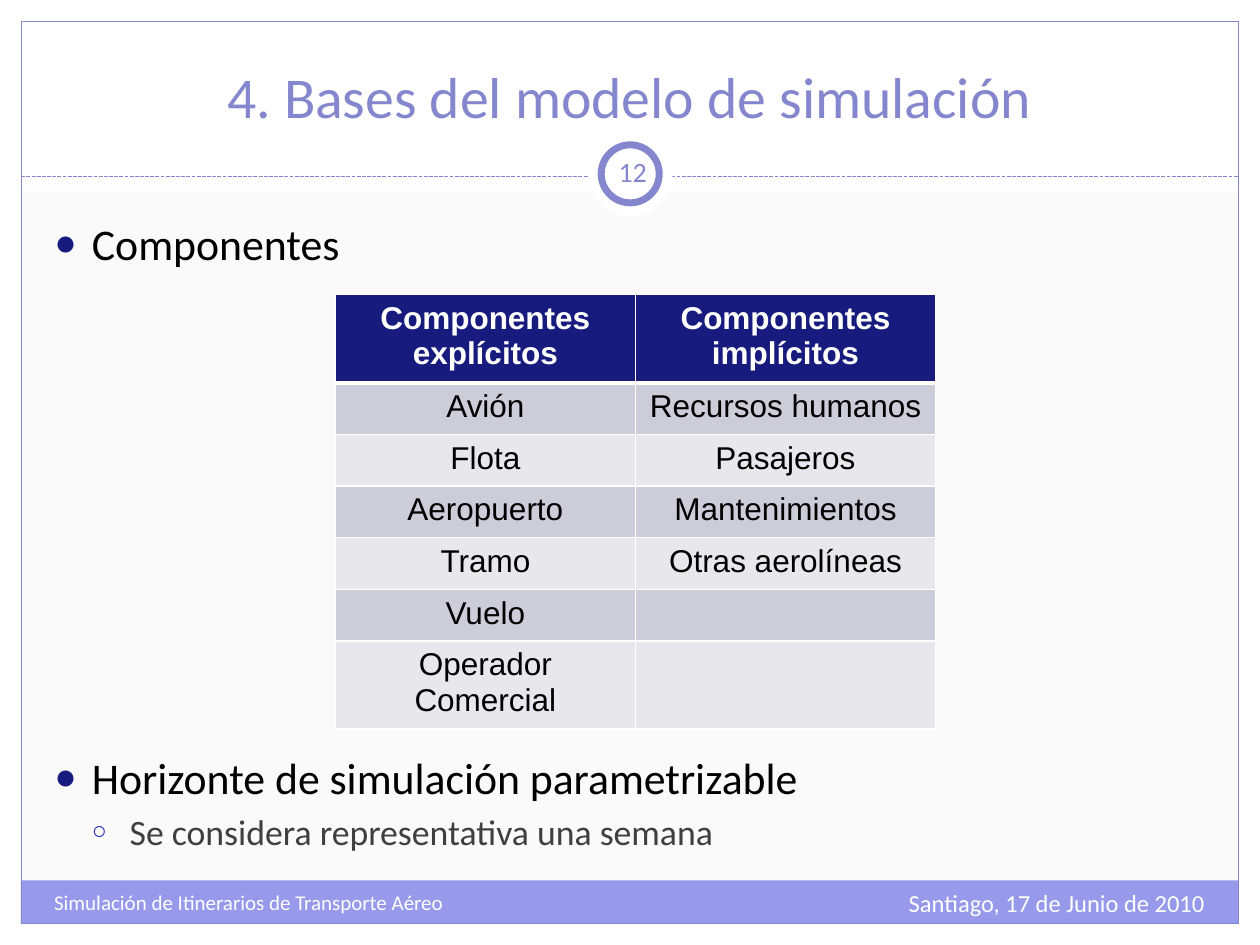
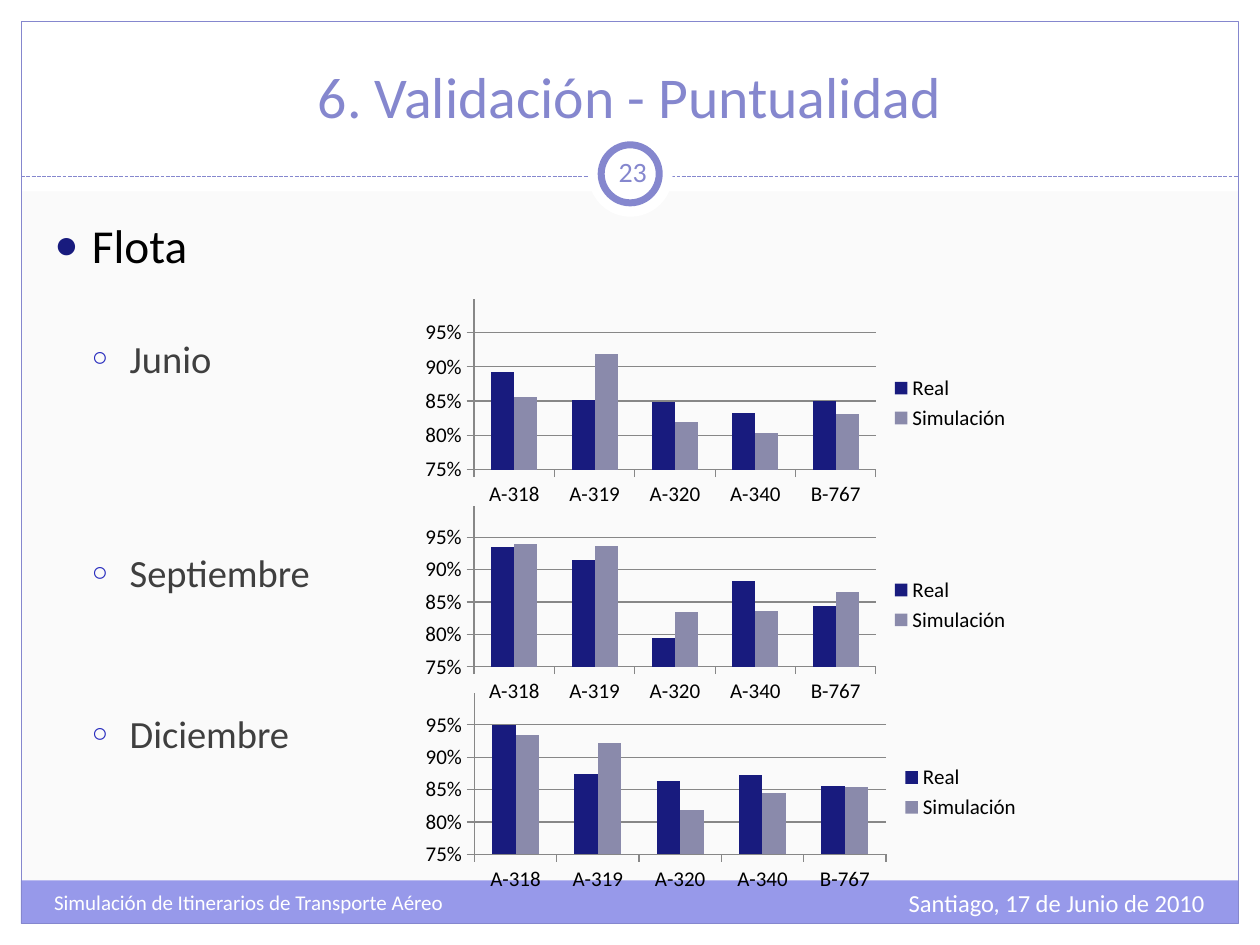
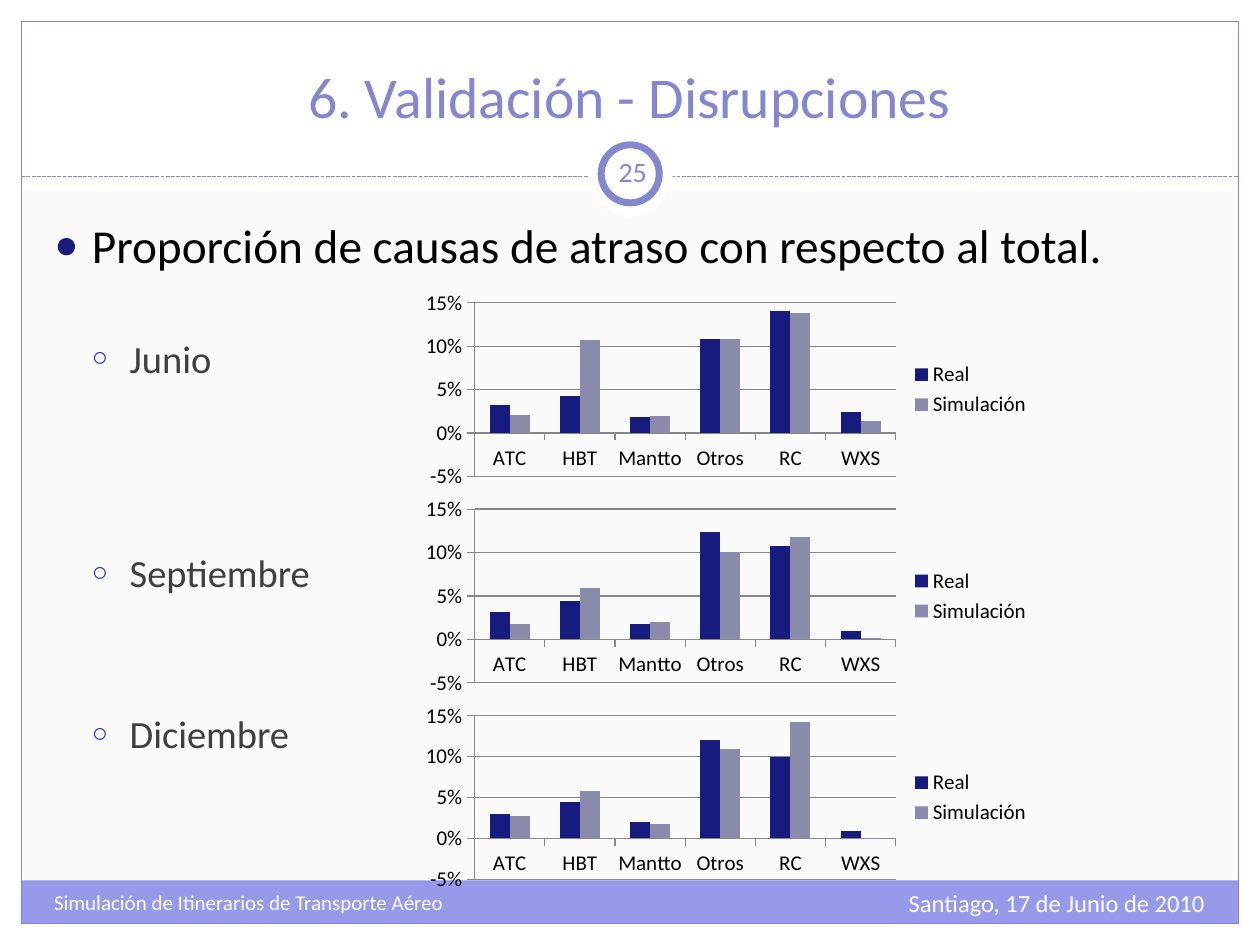
from pptx import Presentation
from pptx.chart.data import CategoryChartData
from pptx.dml.color import RGBColor
from pptx.enum.chart import XL_CHART_TYPE, XL_LEGEND_POSITION, XL_TICK_MARK
from pptx.enum.dml import MSO_LINE
from pptx.enum.shapes import MSO_CONNECTOR, MSO_SHAPE
from pptx.enum.text import MSO_ANCHOR, MSO_AUTO_SIZE, PP_ALIGN
from pptx.oxml import parse_xml
from pptx.oxml.ns import nsdecls
from pptx.oxml.xmlchemy import OxmlElement
from pptx.util import Cm, Pt

HUES = {
    "white": "FFFFFF", "black": "000000", "paper": "FAFAFA", "lilac": "8587CE",
    "foot": "9799EA", "navy": "181B7E", "blue": "2529BD", "text": "3F3F3F",
    "odd": "CCCDD8", "even": "E8E8EC", "sim": "8A8AAB", "axis": "878787",
}
RGB = {name: RGBColor.from_string(code) for name, code in HUES.items()}


def put(item, **vals):
    """Set each format value on the item."""
    for key, val in vals.items():
        setattr(item, key, val)


def write(para, text, size, hue, face="Calibri", align=PP_ALIGN.LEFT, bold=False):
    """Fill a paragraph with one formatted run."""
    run = para.add_run()
    run.text = text
    para.alignment = align
    put(run.font, name=face, size=Pt(size), bold=bold)
    run.font.color.rgb = RGB[hue]


prs = Presentation()
put(prs, slide_width=Cm(25.4), slide_height=Cm(19.05))
back = prs.slide_master.background.fill
back.solid()
back.fore_color.rgb = RGB["paper"]
plan = prs.slide_layouts[1]

heads = [
    ("4. Bases del modelo de simulación", "12"),
    ("6. Validación - Puntualidad", "23"),
    ("6. Validación - Disrupciones", "25"),
]
slides = [prs.slides.add_slide(plan) for _ in heads]

# Shared frame: drawn once, then moved to the layout
RECT, OVAL = MSO_SHAPE.RECTANGLE, MSO_SHAPE.OVAL
bands = [
    (RECT, (0, 18.62, 25.4, 0.43), "white", None),
    (RECT, (0, 0, 25.4, 3.86), "white", None),
    (RECT, (0, 0, 0.43, 19.05), "white", None),
    (RECT, (24.97, 0, 0.43, 19.05), "white", None),
    (RECT, (0.42, 17.75, 24.54, 0.87), "foot", None),
    (RECT, (0.43, 0.43, 24.54, 18.19), None, 0.75),
    ("rule", (0.43, 3.56, 24.97, 3.56), None, 0.75),
    (OVAL, (11.86, 2.67, 1.7, 1.7), "white", None),
    (OVAL, (12.12, 2.92, 1.17, 1.17), "white", 4),
]
for num, (kind, box, fill, width) in enumerate(bands, 20):
    box = [Cm(v) for v in box]
    if kind == "rule":
        part = slides[0].shapes.add_connector(MSO_CONNECTOR.STRAIGHT, *box)
        part.line.dash_style = MSO_LINE.SQUARE_DOT
    else:
        part = slides[0].shapes.add_shape(kind, *box)
        part.shadow.inherit = False
        if fill:
            part.fill.solid()
            part.fill.fore_color.rgb = RGB[fill]
        else:
            part.fill.background()
    if width:
        part.line.color.rgb = RGB["lilac"]
        part.line.width = Pt(width)
    else:
        part.line.fill.background()
    if kind == "rule":
        part._element.spPr.append(OxmlElement("a:effectLst"))
    part._element.xpath(".//p:cNvPr")[0].set("id", str(num))
    plan.shapes._spTree.append(part._element)

# Titles, footers and page numbers
for slide, (head, page) in zip(slides, heads):
    title = slide.shapes.title
    put(title, left=Cm(0.84), top=Cm(0.64), width=Cm(23.7), height=Cm(2.11))
    put(title.text_frame, vertical_anchor=MSO_ANCHOR.BOTTOM, auto_size=MSO_AUTO_SIZE.NONE)
    write(title.text_frame.paragraphs[0], head, 33, "lilac", align=PP_ALIGN.CENTER)
    notes = [
        ("Santiago, 17 de Junio de 2010", (16.08, 17.78, 8.46, 1.02), 14, "white", PP_ALIGN.RIGHT),
        ("Simulación de Itinerarios de Transporte Aéreo", (0.84, 17.81, 9.96, 1.02), 12,
         "white", PP_ALIGN.LEFT),
        (page, (12.12, 2.84, 1.27, 1.22), 16, "lilac", PP_ALIGN.CENTER),
    ]
    for text, box, size, hue, align in notes:
        frame = slide.shapes.add_textbox(*[Cm(v) for v in box]).text_frame
        frame.word_wrap = True
        if text == page:
            put(frame, vertical_anchor=MSO_ANCHOR.MIDDLE, margin_left=Cm(0.13),
                margin_right=Cm(0.13), margin_top=Cm(0.13), margin_bottom=Cm(0.13))
        write(frame.paragraphs[0], text, size, hue, align=align)

# Lists: level, text, size, space before
months = [(1, "Junio", 22, 35), (1, "Septiembre", 22, 96), (1, "Diciembre", 22, 65.5)]
lists = [
    (13.41, [(0, "Componentes", 25, 5),
             (0, "Horizonte de simulación parametrizable", 25, 275),
             (1, "Se considera representativa una semana", 20.4, 4)]),
    (12.7, [(0, "Flota", 27, 5)] + months),
    (12.7, [(0, "Proporción de causas de atraso con respecto al total.", 27, 5)] + months),
]
looks = [("black", "navy", 85, "●"), ("text", "blue", 70, "○")]
for slide, (high, items) in zip(slides, lists):
    body = slide.placeholders[1]
    put(body, left=Cm(0.84), top=Cm(4.24), width=Cm(23.62), height=Cm(high))
    frame = body.text_frame
    frame.auto_size = MSO_AUTO_SIZE.NONE
    for num, (level, text, size, gap) in enumerate(items):
        para = frame.add_paragraph() if num else frame.paragraphs[0]
        hue, dot, scale, char = looks[level]
        write(para, text, size, hue)
        put(para, level=level, space_before=Pt(gap))
        props = para._p.get_or_add_pPr()
        props.set("marL", str(Cm(0.76) * (level + 1)))
        props.set("indent", str(-Cm(0.76)))
        for xml in (f'<a:buClr {nsdecls("a")}><a:srgbClr val="{HUES[dot]}"/></a:buClr>',
                    f'<a:buSzPct {nsdecls("a")} val="{scale * 1000}"/>',
                    f'<a:buChar {nsdecls("a")} char="{char}"/>'):
            props.append(parse_xml(xml))

# Table of components
rows = [
    ("Componentes explícitos", "Componentes implícitos"),
    ("Avión", "Recursos humanos"),
    ("Flota", "Pasajeros"),
    ("Aeropuerto", "Mantenimientos"),
    ("Tramo", "Otras aerolíneas"),
    ("Vuelo", ""),
    ("Operador Comercial", ""),
]
grid = slides[0].shapes.add_table(
    len(rows), 2, Cm(6.76), Cm(5.94), Cm(12.1), Cm(1.04) * len(rows)).table
for col in grid.columns:
    col.width = Cm(6.05)
for r, row in enumerate(rows):
    grid.rows[r].height = Cm(1.04)
    for c, text in enumerate(row):
        cell = grid.cell(r, c)
        if text:
            write(cell.text_frame.paragraphs[0], text, 18, "black" if r else "white",
                  "Arial", PP_ALIGN.CENTER, r == 0)
        props = cell._tc.get_or_add_tcPr()
        for side in "LRTB":
            thick = 3 if (r, side) in ((0, "B"), (1, "T")) else 1
            props.append(parse_xml(
                f'<a:ln{side} {nsdecls("a")} w="{Pt(thick)}"><a:solidFill>'
                f'<a:srgbClr val="{HUES["white"]}"/></a:solidFill></a:ln{side}>'))
        cell.fill.solid()
        cell.fill.fore_color.rgb = RGB["navy" if r == 0 else "odd" if r % 2 else "even"]

# Charts by month: top, width, height, real values, simulated values
planes = ["A-318", "A-319", "A-320", "A-340", "B-767"]
causes = ["ATC", "HBT", "Mantto", "Otros", "RC", "WXS"]
groups = [
    (slides[1], planes, 0.75, 0.999, [
        (5.94, 12.29, 4.37, (0.893, 0.852, 0.849, 0.832, 0.85),
         (0.856, 0.918, 0.82, 0.803, 0.831)),
        (10.11, 12.29, 4.17, (0.935, 0.915, 0.794, 0.882, 0.844),
         (0.939, 0.936, 0.835, 0.836, 0.865)),
        (13.89, 12.5, 4.17, (0.949, 0.874, 0.863, 0.873, 0.856),
         (0.935, 0.922, 0.818, 0.845, 0.854)),
    ]),
    (slides[2], causes, -0.05, 0.15, [
        (5.77, 12.7, 4.17, (0.032, 0.043, 0.018, 0.108, 0.14, 0.024),
         (0.021, 0.107, 0.02, 0.108, 0.138, 0.014)),
        (9.93, 12.7, 4.17, (0.031, 0.044, 0.018, 0.124, 0.107, 0.009),
         (0.018, 0.059, 0.02, 0.101, 0.118, 0.002)),
        (14.1, 12.7, 3.96, (0.03, 0.045, 0.02, 0.121, 0.1, 0.009),
         (0.028, 0.058, 0.018, 0.11, 0.142, 0.001)),
    ]),
]
for slide, cats, low, high, charts in groups:
    for top, wide, tall, real, sim in charts:
        data = CategoryChartData(number_format="0.0%")
        data.categories = cats
        data.add_series("Real", real)
        data.add_series("Simulación", sim)
        chart = slide.shapes.add_chart(XL_CHART_TYPE.COLUMN_CLUSTERED, Cm(8.33), Cm(top),
                                       Cm(wide), Cm(tall), data).chart
        put(chart, has_title=False, has_legend=True)
        put(chart.legend, position=XL_LEGEND_POSITION.RIGHT, include_in_layout=False)
        put(chart.font, size=Pt(12), name="Calibri")
        chart.font.color.rgb = RGB["black"]
        plot = chart.plots[0]
        put(plot, gap_width=150, overlap=0, vary_by_categories=False)
        for bar, hue in zip(plot.series, ("navy", "sim")):
            bar.format.fill.solid()
            bar.format.fill.fore_color.rgb = RGB[hue]
        scale = chart.value_axis
        put(scale, minimum_scale=low, maximum_scale=high, major_unit=0.05,
            has_major_gridlines=True)
        put(scale.tick_labels, number_format="0%", number_format_is_linked=False)
        for axis in (scale, chart.category_axis):
            axis.major_tick_mark = XL_TICK_MARK.OUTSIDE
        for edge in (scale, chart.category_axis, scale.major_gridlines):
            edge.format.line.color.rgb = RGB["axis"]
            edge.format.line.width = Pt(0.75)

prs.save("out.pptx")
